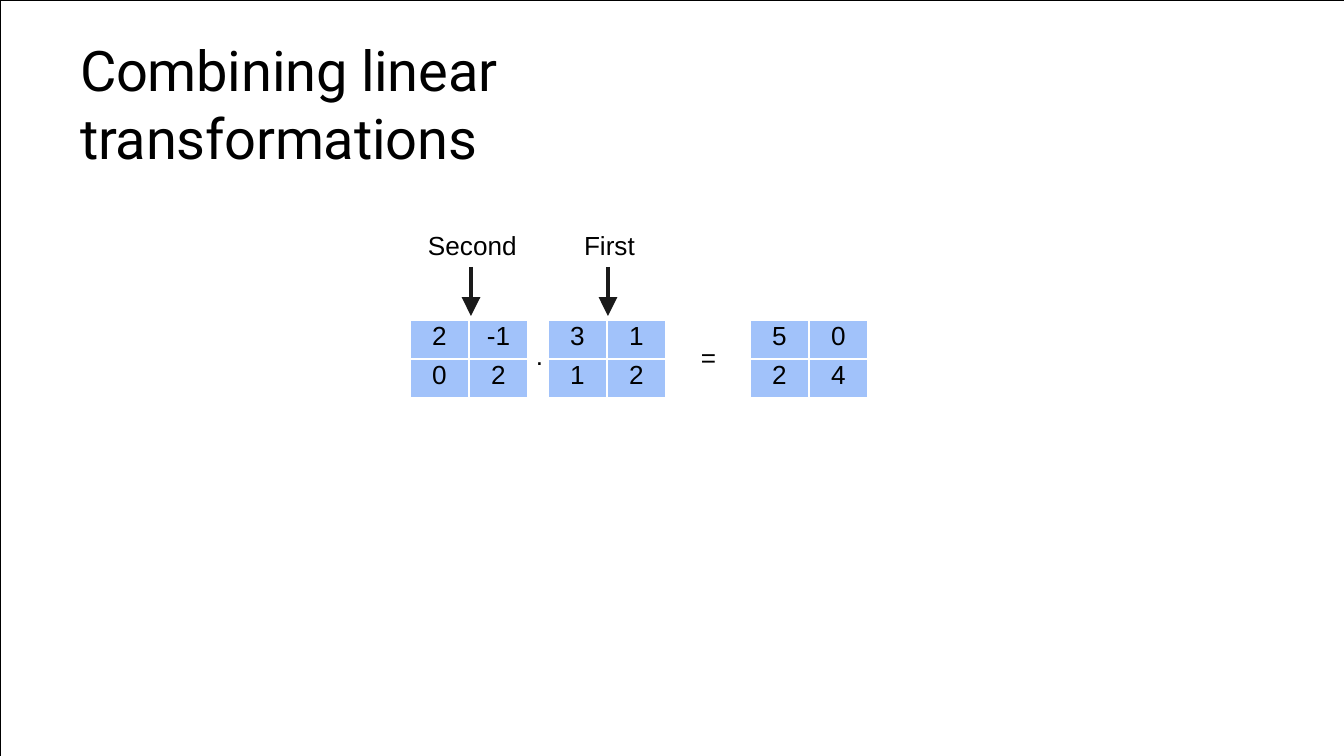
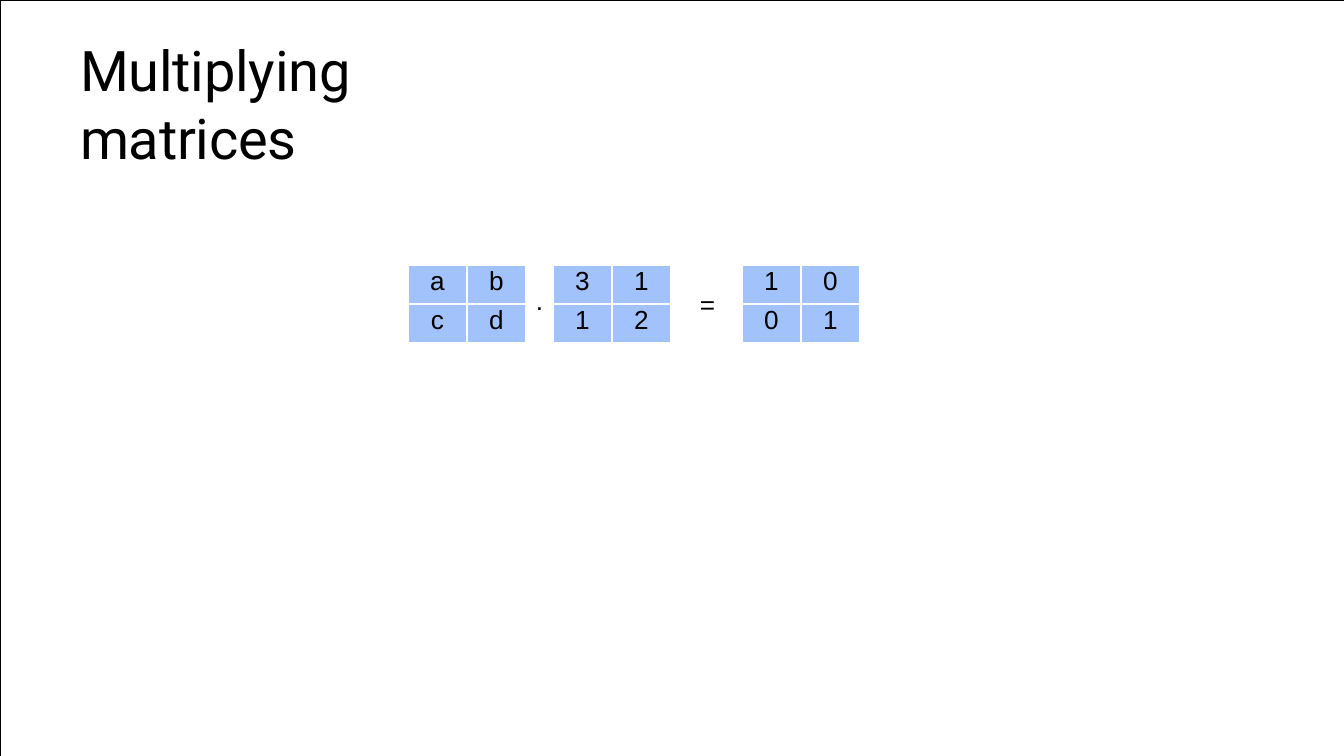
"""Build two slides that show products of two-by-two matrices."""
from dataclasses import dataclass
from typing import Any

import lxml.etree
import pptx
import pptx.dml.color
import pptx.enum.shapes
import pptx.enum.text
import pptx.oxml.ns
import pptx.slide
import pptx.text.text
import pptx.util

EMU_PER_PIXEL = 914400 / 134.4
SLIDE_WIDTH, SLIDE_HEIGHT = 1344, 756
TITLE_LEFT, TITLE_TOP, TITLE_HEIGHT = 78, 34, 71
COLUMN_WIDTH, ROW_HEIGHT = 59, 39
LINE_HEIGHT = 35
LABEL_TOP, ARROW_TOP, ARROW_BOTTOM = 227, 267, 316
TEXT_INSET = 2


@dataclass(frozen=True)
class Theme:
    ink: str = "000000"
    arrow: str = "1A1A1A"
    cell: str = "A1C2FA"
    paper: str = "FFFFFF"
    title_font: str = "Roboto"
    body_font: str = "Arial"
    title_size: int = 30
    body_size: int = 14
    title_tracking: int = -10
    frame_weight: float = 0.25
    border_weight: int = 1
    arrow_weight: int = 2


@dataclass(frozen=True)
class Matrix:
    left: int
    rows: tuple[str, str]


@dataclass(frozen=True)
class Label:
    text: str
    left: int
    top: int
    width: int


@dataclass(frozen=True)
class Page:
    title: str
    title_width: int
    matrix_top: int
    matrices: tuple[Matrix, ...]
    labels: tuple[Label, ...]
    arrows: tuple[int, ...] = ()


THEME = Theme()
PAGES = (
    Page(
        "Combining linear transformations", 824, 320,
        (Matrix(410, ("2 -1", "0 2")), Matrix(548, ("3 1", "1 2")), Matrix(750, ("5 0", "2 4"))),
        (
            Label(".", 534, 337, 11),
            Label("=", 699, 339, 19),
            Label("First", 582, LABEL_TOP, 55),
            Label("Second", 426, LABEL_TOP, 93),
        ),
        (608, 471),
    ),
    Page(
        "Multiplying matrices", 495, 265,
        (Matrix(408, ("a b", "c d")), Matrix(553, ("3 1", "1 2")), Matrix(742, ("1 0", "0 1"))),
        (Label(".", 534, 282, 11), Label("=", 698, 286, 19)),
    ),
)


def px(length: int) -> pptx.util.Emu:
    return pptx.util.Emu(round(length * EMU_PER_PIXEL))


def rgb(color: str) -> pptx.dml.color.RGBColor:
    return pptx.dml.color.RGBColor.from_string(color)


def apply_format(target: Any, values: dict[str, Any]) -> None:
    for name, value in values.items():
        setattr(target, name, value)


def margins(top: int) -> dict[str, Any]:
    return {
        "margin_left": 0,
        "margin_right": 0,
        "margin_top": px(top),
        "margin_bottom": 0,
    }


def write(paragraph: pptx.text.text._Paragraph, text: str, font: str, size: int, tracking: int = 0) -> None:
    run = paragraph.add_run()
    run.text = text
    apply_format(run.font, {"name": font, "size": pptx.util.Pt(size)})
    run.font.color.rgb = rgb(THEME.ink)
    if tracking:
        run._r.get_or_add_rPr().set("spc", str(tracking))


def add_text(
    slide: pptx.slide.Slide, label: Label, height: int, font: str, size: int, tracking: int = 0
) -> None:
    shape = slide.shapes.add_textbox(px(label.left), px(label.top), px(label.width), px(height))
    values = margins(TEXT_INSET) | {
        "margin_left": px(TEXT_INSET),
        "word_wrap": True,
        "auto_size": pptx.enum.text.MSO_AUTO_SIZE.SHAPE_TO_FIT_TEXT,
    }
    apply_format(shape.text_frame, values)
    write(shape.text_frame.paragraphs[0], label.text, font, size, tracking)


def add_frame(slide: pptx.slide.Slide) -> None:
    shape = slide.shapes.add_shape(
        pptx.enum.shapes.MSO_SHAPE.RECTANGLE, 0, 0, px(SLIDE_WIDTH), px(SLIDE_HEIGHT)
    )
    shape.shadow.inherit = False
    shape.fill.background()
    shape.line.color.rgb = rgb(THEME.ink)
    shape.line.width = pptx.util.Pt(THEME.frame_weight)


def add_borders(cell: Any) -> None:
    properties = cell._tc.get_or_add_tcPr()
    name = pptx.oxml.ns.qn
    for side in ("a:lnL", "a:lnR", "a:lnT", "a:lnB"):
        line = lxml.etree.SubElement(properties, name(side), w=str(pptx.util.Pt(THEME.border_weight)))
        fill = lxml.etree.SubElement(line, name("a:solidFill"))
        lxml.etree.SubElement(fill, name("a:srgbClr"), val=THEME.paper)


def add_matrix(slide: pptx.slide.Slide, matrix: Matrix, top: int) -> None:
    values = [row.split() for row in matrix.rows]
    row_count, column_count = len(values), len(values[0])
    table = slide.shapes.add_table(
        row_count, column_count, px(matrix.left), px(top),
        px(column_count * COLUMN_WIDTH), px(row_count * ROW_HEIGHT),
    ).table
    apply_format(table, {"first_row": False, "horz_banding": False})
    for row_index, row in enumerate(values):
        for column_index, value in enumerate(row):
            cell = table.cell(row_index, column_index)
            apply_format(cell, margins(TEXT_INSET))
            add_borders(cell)
            cell.fill.solid()
            cell.fill.fore_color.rgb = rgb(THEME.cell)
            paragraph = cell.text_frame.paragraphs[0]
            paragraph.alignment = pptx.enum.text.PP_ALIGN.CENTER
            write(paragraph, value, THEME.body_font, THEME.body_size)


def add_arrow(slide: pptx.slide.Slide, center: int) -> None:
    connector = slide.shapes.add_connector(
        pptx.enum.shapes.MSO_CONNECTOR.STRAIGHT,
        px(center), px(ARROW_TOP), px(center), px(ARROW_BOTTOM),
    )
    connector.line.color.rgb = rgb(THEME.arrow)
    connector.line.width = pptx.util.Pt(THEME.arrow_weight)
    name = pptx.oxml.ns.qn
    lxml.etree.SubElement(
        connector.line._get_or_add_ln(), name("a:tailEnd"), type="triangle", w="lg", len="lg"
    )
    lxml.etree.SubElement(connector._element.spPr, name("a:effectLst"))


def add_page(presentation: Any, page: Page) -> None:
    slide = presentation.slides.add_slide(presentation.slide_layouts[6])
    add_frame(slide)
    title = Label(page.title, TITLE_LEFT, TITLE_TOP, page.title_width)
    add_text(slide, title, TITLE_HEIGHT, THEME.title_font, THEME.title_size, THEME.title_tracking)
    for matrix in page.matrices:
        add_matrix(slide, matrix, page.matrix_top)
    for label in page.labels:
        add_text(slide, label, LINE_HEIGHT, THEME.body_font, THEME.body_size)
    for center in page.arrows:
        add_arrow(slide, center)


def main() -> None:
    presentation = pptx.Presentation()
    apply_format(presentation, {"slide_width": px(SLIDE_WIDTH), "slide_height": px(SLIDE_HEIGHT)})
    for page in PAGES:
        add_page(presentation, page)
    presentation.save("out.pptx")


if __name__ == "__main__":
    main()
